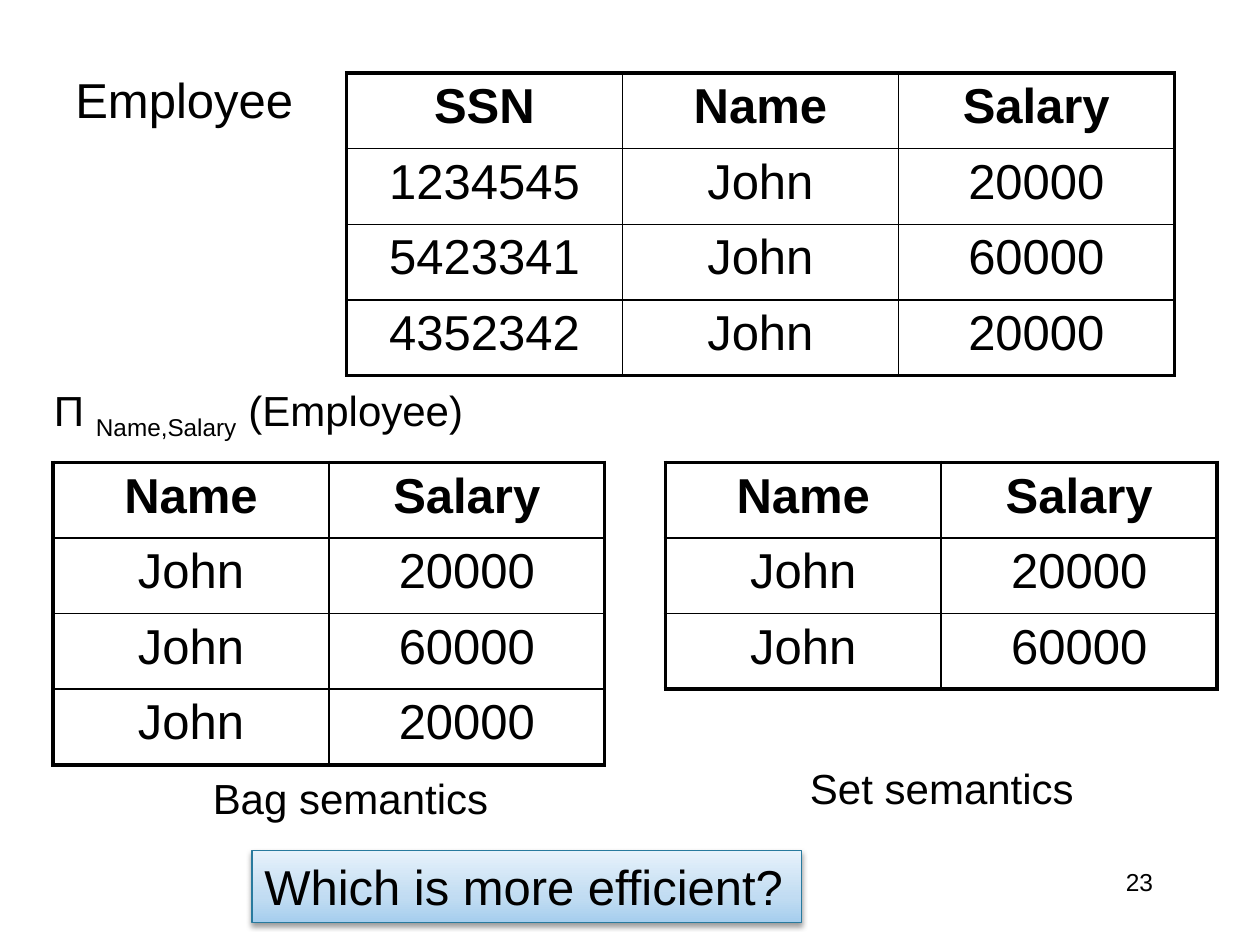
from lxml.etree import SubElement
from pptx import Presentation
from pptx.dml.color import RGBColor
from pptx.enum.shapes import MSO_SHAPE
from pptx.enum.text import MSO_ANCHOR, PP_ALIGN
from pptx.oxml import parse_xml
from pptx.oxml.ns import nsdecls, qn
from pptx.util import Inches, Pt

FONT, BLACK = "Arial", "000000"
COLUMN, ROW = 2.19, 0.6
THICK, THIN = 2.25, 1

HEADER = ("SSN", "Name", "Salary")
EMPLOYEES = [
    ("1234545", "John", "20000"),
    ("5423341", "John", "60000"),
    ("4352342", "John", "20000"),
]


def color(hex_value):
    return RGBColor.from_string(hex_value)


def format_text(paragraph, size, bold=False, align=PP_ALIGN.LEFT):
    paragraph.alignment = align
    for run in paragraph.runs:
        run.font.name = FONT
        run.font.size = Pt(size)
        run.font.bold = bold
        run.font.color.rgb = color(BLACK)


def add_label(slide, box, text, size, align=PP_ALIGN.LEFT, wrap=False):
    label = slide.shapes.add_textbox(*map(Inches, box))
    label.text_frame.word_wrap = wrap
    paragraph = label.text_frame.paragraphs[0]
    paragraph.text = text
    format_text(paragraph, size, align=align)
    return paragraph


def set_borders(cell, widths):
    properties = cell._tc.get_or_add_tcPr()
    for index, (side, width) in enumerate(widths.items()):
        line = parse_xml(
            f'<a:{side} {nsdecls("a")} w="{Pt(width)}"><a:solidFill>'
            f'<a:srgbClr val="{BLACK}"/></a:solidFill></a:{side}>'
        )
        properties.insert(index, line)


def add_relation(slide, left, top, records):
    """Draw a relation with a bold header and a thick outer frame."""
    rows, columns = len(records), len(records[0])
    table = slide.shapes.add_table(
        rows, columns, Inches(left), Inches(top),
        Inches(columns * COLUMN), Inches(rows * ROW),
    ).table
    table.first_row = table.horz_banding = False
    for r, record in enumerate(records):
        for c, value in enumerate(record):
            cell = table.cell(r, c)
            cell.text = value
            cell.vertical_anchor = MSO_ANCHOR.TOP
            cell.fill.background()
            format_text(cell.text_frame.paragraphs[0], 28, r == 0, PP_ALIGN.CENTER)
            set_borders(cell, {
                "lnL": THICK if c == 0 else THIN,
                "lnR": THICK if c == columns - 1 else THIN,
                "lnT": THICK if r == 0 else THIN,
                "lnB": THICK if r == rows - 1 else THIN,
            })


def add_projection(slide, box):
    """Write the projection expression with its attributes as a subscript."""
    expression = add_label(slide, box, "Π ", 24)
    for part in ("Name,Salary", " (Employee)"):
        expression.add_run().text = part
    format_text(expression, 24)
    expression.runs[1].font._element.set("baseline", "-25000")


def add_question(slide, box, text):
    """Place the question in a shaded box with a soft shadow."""
    question = slide.shapes.add_shape(MSO_SHAPE.RECTANGLE, *map(Inches, box))
    question.line.color.rgb = color("287A9E")
    question.line.width = Pt(0.75)
    question.shadow.inherit = False

    # Three-stop gradient running upwards
    stops = "".join(
        f'<a:gs pos="{share * 1000}"><a:srgbClr val="{shade}"/></a:gs>'
        for share, shade in ((0, "A6CEEE"), (35, "C1DCF2"), (100, "E7F2FB"))
    )
    question._element.spPr.find(qn("a:prstGeom")).addnext(parse_xml(
        f'<a:gradFill {nsdecls("a")} rotWithShape="1"><a:gsLst>{stops}</a:gsLst>'
        '<a:lin ang="16200000" scaled="0"/></a:gradFill>'
    ))

    # Shadow falling straight down
    effects = question._element.spPr.find(qn("a:effectLst"))
    shadow = SubElement(
        effects, qn("a:outerShdw"), blurRad=str(Pt(3.1)), dist=str(Pt(1.6)),
        dir="5400000", rotWithShape="0",
    )
    shade = SubElement(shadow, qn("a:srgbClr"), val=BLACK)
    SubElement(shade, qn("a:alpha"), val="38000")

    frame = question.text_frame
    frame.word_wrap = False
    frame.vertical_anchor = MSO_ANCHOR.TOP
    frame.text = text
    format_text(frame.paragraphs[0], 28)


def main():
    deck = Presentation()
    deck.slide_width, deck.slide_height = Inches(10), Inches(7.5)
    slide = deck.slides.add_slide(deck.slide_layouts[6])

    # Source relation
    add_label(slide, (0.5, 0.5, 1.95, 0.57), "Employee", 28)
    add_relation(slide, 2.75, 0.58, [HEADER, *EMPLOYEES])

    # Projection: duplicates kept on the left, removed on the right
    add_projection(slide, (0.33, 3, 3.66, 0.51))
    bag = [record[1:] for record in EMPLOYEES]
    distinct = list(dict.fromkeys(bag))
    add_relation(slide, 0.42, 3.67, [HEADER[1:], *bag])
    add_relation(slide, 5.28, 3.67, [HEADER[1:], *distinct])
    add_label(slide, (1.59, 6.08, 2.41, 0.5), "Bag semantics", 24)
    add_label(slide, (6.33, 6, 2.32, 0.5), "Set semantics", 24)

    # Question and slide number
    add_question(slide, (2, 6.75, 4.36, 0.57), "Which is more efficient?")
    add_label(slide, (7.17, 6.83, 2.08, 0.5), "23", 14, PP_ALIGN.RIGHT, wrap=True)

    deck.save("out.pptx")


if __name__ == "__main__":
    main()
